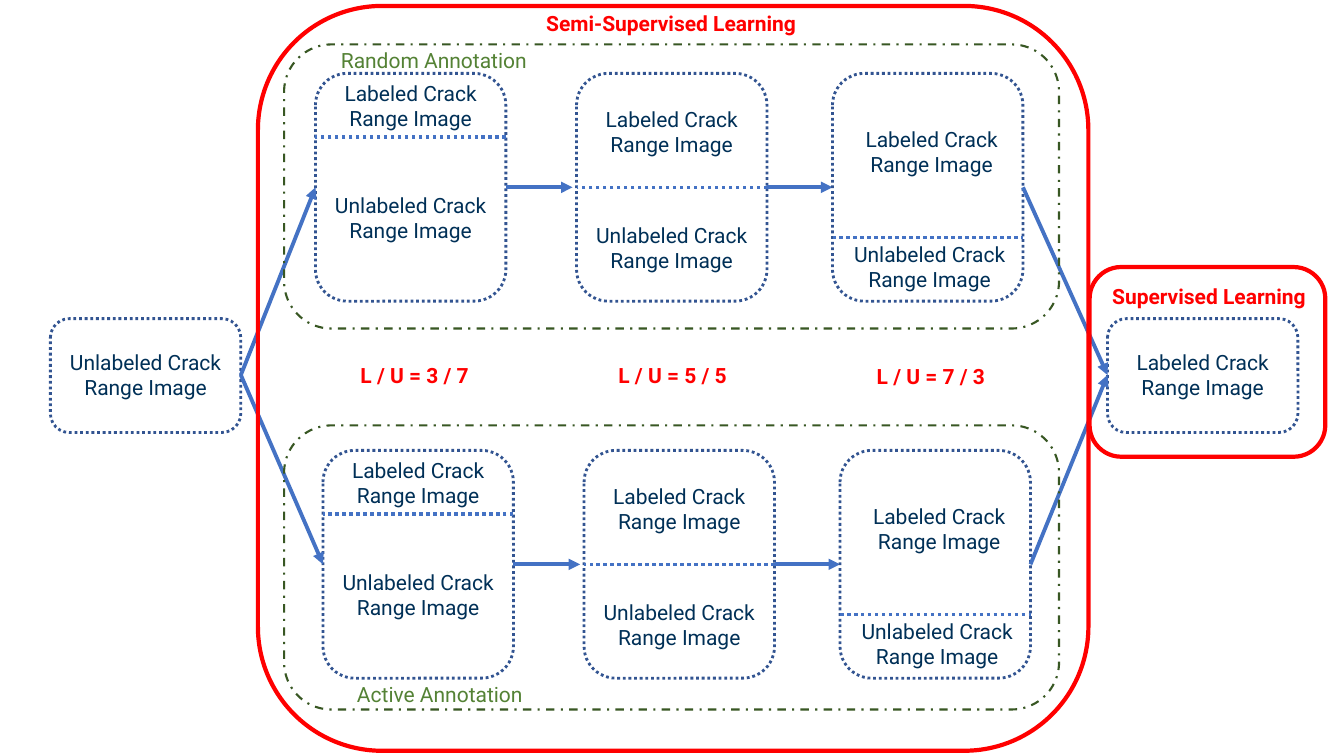
import pptx
import pptx.util
import pptx.dml.color
import pptx.enum.dml
import pptx.enum.shapes
import pptx.enum.text
import pptx.oxml
import pptx.oxml.ns
from pptx.util import Cm

# Content
LABELED = "Labeled Crack Range Image"
UNLABELED = "Unlabeled Crack Range Image"
COLORS = {"text": "003057", "box": "325491", "arrow": "4472C4",
          "group": "385723", "group_title": "548235", "red": "FF0000"}

# Stages: left, divider, labeled (dx, dy), unlabeled (dx, dy), gap before next box
STAGES = [
    (7.95, 1.6, (0, 0.05), (0, 2.87), 0.1),
    (14.53, 2.87, (0, 0.71), (0, 3.63), 0),
    (20.98, 4.14, (0.1, 1.22), (0.05, 4.11), 0),
]
RATIOS = [("L / U = 3 / 7", 8.05, 9.02), ("L / U = 5 / 5", 14.55, 9.02),
          ("L / U = 7 / 3", 21.06, 9.04)]
# Rows: horizontal shift, box top, group top, title, title left, title top
ROWS = [
    (0, 1.85, 1.12, "Random Annotation", 7.85, 1.07),
    (0.19, 11.35, 10.72, "Active Annotation", 8, 17.04),
]
END_BOXES = [(UNLABELED, 1.27), (LABELED, 27.91)]
# Learning frames: left, top, width, height, title, title left, top, width
FRAMES = [
    (6.5, 0.15, 20.93, 18.77, "Semi-Supervised Learning", 12.7, 0.13, 8.43),
    (27.46, 6.73, 5.94, 4.78, "Supervised Learning", 27.51, 7.01, 5.92),
]

# Sizes in centimetres
BOX_WIDTH, STAGE_HEIGHT, END_HEIGHT = 4.8, 5.74, 2.87
LABEL_HEIGHT, TITLE_HEIGHT = 1.55, 0.89
END_TOP, END_LABEL_TOP, MIDDLE = 8.03, 8.69, 9.45
GROUP_LEFT, GROUP_WIDTH, GROUP_HEIGHT = 7.16, 19.53, 7.16

presentation = pptx.Presentation()
presentation.slide_width = Cm(33.87)
presentation.slide_height = Cm(19.05)
slide = presentation.slides.add_slide(presentation.slide_layouts[6])
DASH = pptx.enum.dml.MSO_LINE


def style_line(line, color, width, dash=None):
    line.color.rgb = pptx.dml.color.RGBColor.from_string(COLORS[color])
    line.width = pptx.util.Pt(width)
    if dash is not None:
        line.dash_style = dash


def add_text(text, left, top, width, height, color="text", bold=None):
    box = slide.shapes.add_textbox(Cm(left), Cm(top), Cm(width), Cm(height))
    frame = box.text_frame
    frame.word_wrap = True
    frame.auto_size = pptx.enum.text.MSO_AUTO_SIZE.SHAPE_TO_FIT_TEXT
    frame.text = text
    paragraph = frame.paragraphs[0]
    paragraph.alignment = pptx.enum.text.PP_ALIGN.CENTER
    font = paragraph.runs[0].font
    font.name, font.size, font.bold = "Roboto", pptx.util.Pt(15), bold
    font.color.rgb = pptx.dml.color.RGBColor.from_string(COLORS[color])


def add_outline(left, top, width, height, color="box", weight=2, dash=None):
    shape = slide.shapes.add_shape(
        pptx.enum.shapes.MSO_SHAPE.ROUNDED_RECTANGLE,
        Cm(left), Cm(top), Cm(width), Cm(height))
    shape.shadow.inherit = False
    shape.fill.background()
    style_line(shape.line, color, weight, dash)


def add_line(start, end, arrow=True):
    connector = slide.shapes.add_connector(
        pptx.enum.shapes.MSO_CONNECTOR.STRAIGHT, *map(Cm, start + end))
    if arrow:
        style_line(connector.line, "arrow", 2.75)
        tail = pptx.oxml.parse_xml(
            '<a:tailEnd %s type="triangle"/>' % pptx.oxml.ns.nsdecls("a"))
        connector.line._get_or_add_ln().append(tail)
    else:
        style_line(connector.line, "arrow", 2.5, DASH.ROUND_DOT)
    connector._element.spPr.append(
        pptx.oxml.parse_xml("<a:effectLst %s/>" % pptx.oxml.ns.nsdecls("a")))


# Start and end boxes
for text, left in END_BOXES:
    add_text(text, left, END_LABEL_TOP, BOX_WIDTH, LABEL_HEIGHT)
    add_outline(left, END_TOP, BOX_WIDTH, END_HEIGHT, dash=DASH.ROUND_DOT)
start_point = (END_BOXES[0][1] + BOX_WIDTH, MIDDLE)
end_point = (END_BOXES[1][1], MIDDLE)

# Annotation rows with their stages and arrows
for shift, top, group_top, title, title_left, title_top in ROWS:
    center = top + STAGE_HEIGHT / 2
    lefts = [stage[0] + shift for stage in STAGES]
    for index, (_, divider, labeled, unlabeled, gap) in enumerate(STAGES):
        left = lefts[index]
        right = left + BOX_WIDTH
        for text, (dx, dy) in ((UNLABELED, unlabeled), (LABELED, labeled)):
            add_text(text, left + dx, top + dy, BOX_WIDTH, LABEL_HEIGHT)
        add_outline(left, top, BOX_WIDTH, STAGE_HEIGHT, dash=DASH.ROUND_DOT)
        ends = [(left, top + divider), (right, top + divider)]
        if index < 2:
            ends.reverse()
        add_line(*ends, arrow=False)
        if index < 2:
            add_line((right, center), (lefts[index + 1] - gap, center))
    add_line((lefts[-1] + BOX_WIDTH, center), end_point)
    add_line(start_point, (lefts[0], center))
    add_outline(GROUP_LEFT, group_top, GROUP_WIDTH, GROUP_HEIGHT,
                "group", 1.5, DASH.DASH_DOT)
    add_text(title, title_left, title_top, 6.17, TITLE_HEIGHT, "group_title")

# Ratios between the rows
for text, left, top in RATIOS:
    add_text(text, left, top, BOX_WIDTH, TITLE_HEIGHT, "red", True)

# Learning frames
for left, top, width, height, title, title_left, title_top, title_width in FRAMES:
    add_outline(left, top, width, height, "red", 3)
    add_text(title, title_left, title_top, title_width, TITLE_HEIGHT, "red", True)

presentation.save("out.pptx")
